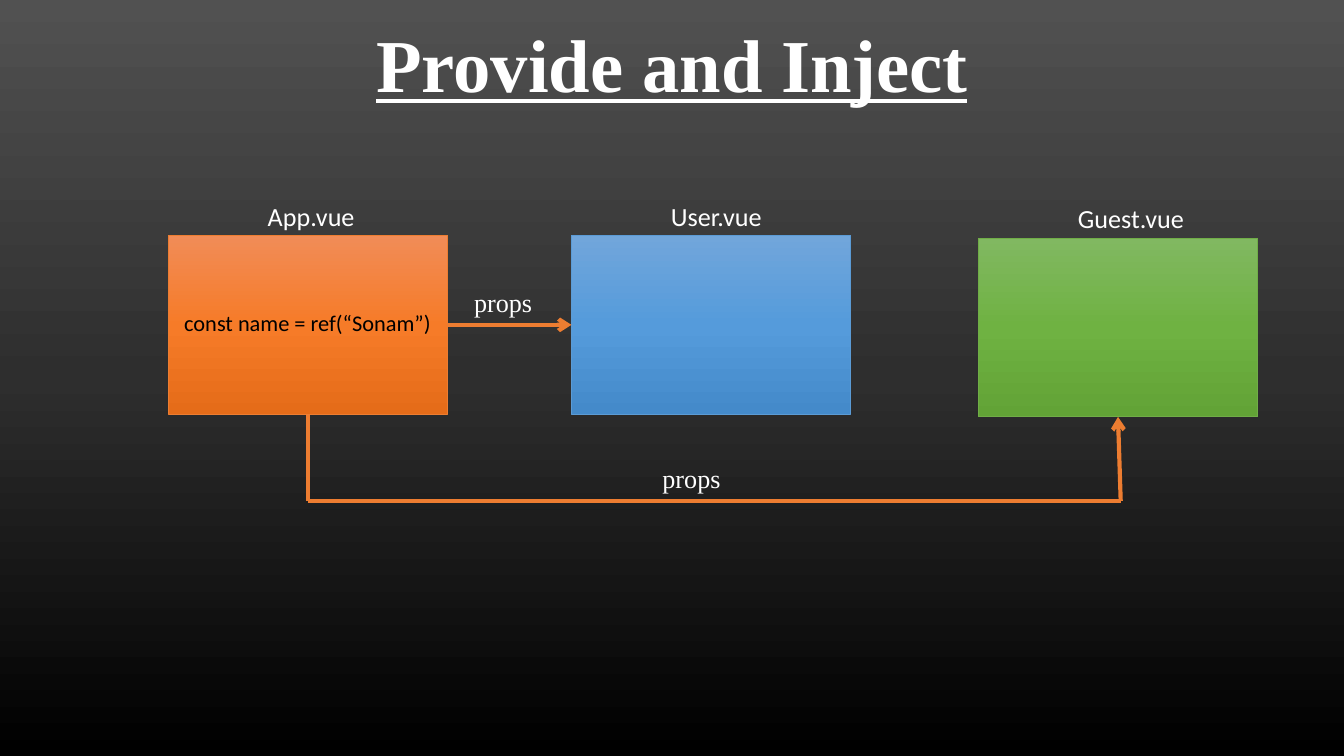
"""Build a slide on passing props between Vue components."""
from copy import deepcopy

from lxml import etree
from pptx import Presentation
from pptx import util as u
from pptx.dml.color import RGBColor
from pptx.enum import shapes, text
from pptx.oxml.ns import qn

WHITE = "FFFFFF"
ORANGE = "ED7D31"
SERIF = "Times New Roman"
WIDE, HIGH = 5.28, 3.38
CARDS = [
    ("App.vue", 3.18, 4.45, 2.18, ORANGE, ("F18C57", "F67B28", "E56C19")),
    ("User.vue", 10.8, 4.45, 2.24, "5B9BD5", ("71A6DB", "559BDB", "448ACA")),
    ("Guest.vue", 18.49, 4.5, 2.54, "70AD47", ("81B861", "6FB242", "62A336")),
]


def color(code):
    return RGBColor.from_string(code)


def shade(fill, codes):
    """Fill from top to bottom with evenly spaced colours."""
    fill.gradient()
    fill.gradient_angle = 270
    first = fill.gradient_stops[0]._gs
    first.addnext(deepcopy(first))
    for i, (stop, code) in enumerate(zip(fill.gradient_stops, codes)):
        stop.position = i / (len(codes) - 1)
        stop.color.rgb = color(code)


def label(slide, words, left, top, width, high=0.86, size=14, font="Calibri",
          ink=WHITE, align=text.PP_ALIGN.LEFT):
    box = slide.shapes.add_textbox(u.Cm(left), u.Cm(top), u.Cm(width), u.Cm(high))
    frame = box.text_frame
    frame.text = words
    frame.word_wrap = False
    frame.auto_size = text.MSO_AUTO_SIZE.SHAPE_TO_FIT_TEXT
    para = frame.paragraphs[0]
    para.alignment = align
    face = para.runs[0].font
    face.name, face.size = font, u.Pt(size)
    face.color.rgb = color(ink)
    return box


def title(slide, words):
    box = label(slide, words, 1.27, 0.1, 22.86, 2.39, 40, SERIF,
                align=text.PP_ALIGN.CENTER)
    frame = box.text_frame
    frame.word_wrap = True
    frame.auto_size = text.MSO_AUTO_SIZE.NONE
    frame.vertical_anchor = text.MSO_ANCHOR.MIDDLE
    para = frame.paragraphs[0]
    para.line_spacing = 0.9
    para.runs[0].font.bold = para.runs[0].font.underline = True


def card(slide, name, left, top, width, edge, codes):
    box = slide.shapes.add_shape(shapes.MSO_SHAPE.RECTANGLE, u.Cm(left),
                                 u.Cm(top), u.Cm(WIDE), u.Cm(HIGH))
    box.shadow.inherit = False
    shade(box.fill, codes)
    box.line.color.rgb = color(edge)
    box.line.width = u.Pt(0.5)
    label(slide, name, left + 1.63, top - 0.79, width)
    return box


def link(owner, start, end, head=False):
    line = owner.shapes.add_connector(shapes.MSO_CONNECTOR.STRAIGHT,
                                      *(u.Cm(n) for n in start + end))
    line.line.color.rgb = color(ORANGE)
    line.line.width = u.Pt(2.25)
    if head:
        tip = etree.SubElement(line.line._get_or_add_ln(), qn("a:tailEnd"))
        tip.set("type", "arrow")
    etree.SubElement(line._element.spPr, qn("a:effectLst"))
    return line


def main():
    deck = Presentation()
    deck.slide_width, deck.slide_height = u.Cm(25.4), u.Cm(14.29)
    slide = deck.slides.add_slide(deck.slide_layouts[6])
    shade(slide.background.fill, ("515151", "2E2E2E", "000000"))
    title(slide, "Provide and Inject")
    app, user, guest = [card(slide, *row) for row in CARDS]

    direct = link(slide, (8.46, 6.14), (10.8, 6.14), True)
    direct.begin_connect(app, 3)
    direct.end_connect(user, 1)

    route = slide.shapes.add_group_shape()
    points = [(5.82, 7.83), (5.82, 9.47), (21.18, 9.47), (21.13, 7.88)]
    down, _, rise = [link(route, a, b, b == points[-1])
                     for a, b in zip(points, points[1:])]
    down.begin_connect(app, 2)
    rise.end_connect(guest, 2)

    label(slide, "const name = ref(“Sonam”)", 3.2, 5.72, 5.23, 0.76, 12,
          ink="000000", align=text.PP_ALIGN.CENTER)
    for left, top in ((8.71, 5.28), (12.27, 8.61)):
        label(slide, "props", left, top, 1.65, font=SERIF)
    deck.save("out.pptx")


if __name__ == "__main__":
    main()
